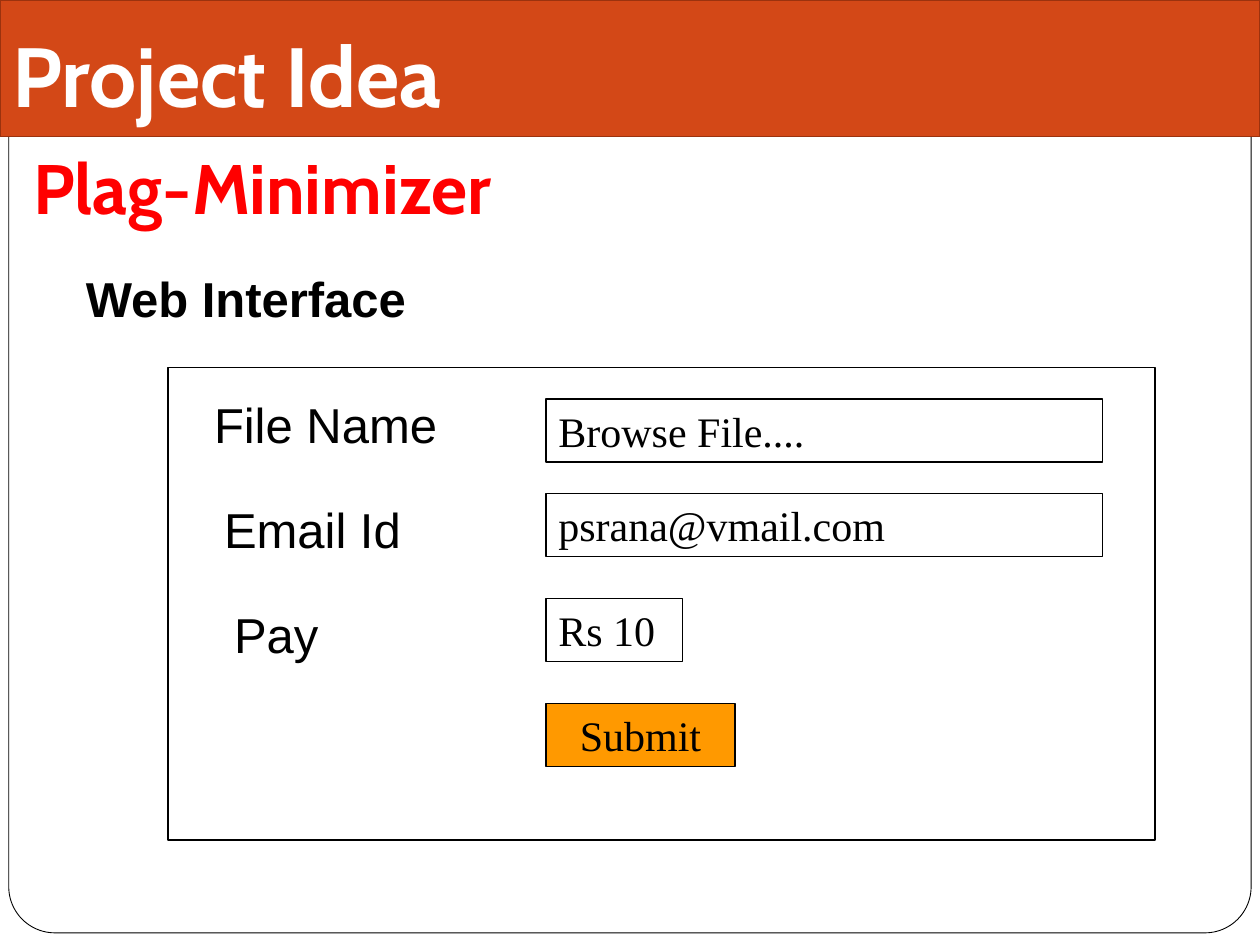
from dataclasses import dataclass
from typing import Optional

from pptx import Presentation
from pptx.dml.color import RGBColor
from pptx.enum.shapes import MSO_SHAPE as Shape
from pptx.enum.text import MSO_ANCHOR as Anchor, PP_ALIGN as Align
from pptx.util import Inches, Pt

GRID = 12  # columns and rows per inch


@dataclass(frozen=True)
class TextStyle:
    font: str
    size: int
    color: str = "000000"
    bold: bool = False


@dataclass(frozen=True)
class Theme:
    paper: str = "FFFFFF"
    ink: str = "000000"
    banner: str = "D34817"
    banner_edge: str = "9B320E"
    button: str = "FF9900"
    title: TextStyle = TextStyle("Cabin", 48, "FFFFFF", True)
    project: TextStyle = TextStyle("Cabin", 40, "FF0000", True)
    section: TextStyle = TextStyle("Arial", 28, bold=True)
    label: TextStyle = TextStyle("Arial", 28)
    entry: TextStyle = TextStyle("Times New Roman", 24)


@dataclass(frozen=True)
class Box:
    """A place on the slide in grid columns and rows."""
    col: float
    row: float
    cols: float
    rows: float

    def lengths(self) -> list:
        return [Inches(n / GRID) for n in (self.col, self.row, self.cols, self.rows)]


@dataclass(frozen=True)
class FormRow:
    entry: str
    row: float
    cols: float
    label: Optional[str] = None
    label_row: float = 0
    label_cols: float = 0


THEME = Theme()
ENTRY_COL, ENTRY_ROWS = 52, 6
LABEL_COL, LABEL_STEP, LABEL_ROWS = 19.2, 0.96, 6.84
FORM = [
    FormRow("Browse File....", 38, 53, "File Name", 37, 23.6),
    FormRow("psrana@vmail.com", 47, 53, "Email Id", 47, 19.2),
    FormRow("Rs 10", 57, 13, "Pay", 57, 10.4),
    FormRow("Submit", 67, 18),
]


def write(shape, text: str, style: TextStyle, anchor=Anchor.TOP,
          align=Align.LEFT, wrap: bool = True) -> None:
    frame = shape.text_frame
    frame.text = text
    frame.word_wrap = wrap
    frame.vertical_anchor = anchor
    frame.margin_left = frame.margin_right = Inches(0.1)
    frame.margin_top = Inches(0.05)
    frame.margin_bottom = Inches(0.1 if anchor == Anchor.BOTTOM else 0.05)
    paragraph = frame.paragraphs[0]
    paragraph.alignment = align
    font = paragraph.runs[0].font
    font.name, font.size, font.bold = style.font, Pt(style.size), style.bold
    font.color.rgb = RGBColor.from_string(style.color)


def draw_panel(slide, box: Box, fill: str, line: str = THEME.ink,
               width: float = 1, kind=Shape.RECTANGLE):
    panel = slide.shapes.add_shape(kind, *box.lengths())
    panel.shadow.inherit = False
    panel.fill.solid()
    panel.fill.fore_color.rgb = RGBColor.from_string(fill)
    panel.line.color.rgb = RGBColor.from_string(line)
    panel.line.width = Pt(width)
    return panel


def draw_text(slide, box: Box, text: str, style: TextStyle, **layout) -> None:
    write(slide.shapes.add_textbox(*box.lengths()), text, style, **layout)


def draw_form(slide) -> None:
    draw_panel(slide, Box(16, 35, 94, 45), THEME.paper)
    for index, item in enumerate(FORM):
        is_button = item.label is None
        entry = draw_panel(slide, Box(ENTRY_COL, item.row, item.cols, ENTRY_ROWS),
                           THEME.button if is_button else THEME.paper)
        write(entry, item.entry, THEME.entry,
              align=Align.CENTER if is_button else Align.LEFT)
        if not is_button:
            place = Box(LABEL_COL + index * LABEL_STEP, item.label_row,
                        item.label_cols, LABEL_ROWS)
            draw_text(slide, place, item.label, THEME.label, wrap=False)


def main() -> None:
    deck = Presentation()
    deck.slide_width, deck.slide_height = Inches(10), Inches(7.5)
    slide = deck.slides.add_slide(deck.slide_layouts[6])

    card = draw_panel(slide, Box(0.84, 1, 118.32, 87.84), THEME.paper,
                      width=0.5, kind=Shape.ROUNDED_RECTANGLE)
    card.adjustments[0] = 0.05
    banner = draw_panel(slide, Box(0, 0, 120, 13), THEME.banner, THEME.banner_edge)
    write(banner, "Project Idea", THEME.title, anchor=Anchor.BOTTOM)

    draw_text(slide, Box(2, 15, 102, 8), "Plag-Minimizer", THEME.project,
              anchor=Anchor.BOTTOM)
    draw_text(slide, Box(7, 25, 110, 6.84), "Web Interface", THEME.section)
    draw_form(slide)
    deck.save("out.pptx")


if __name__ == "__main__":
    main()
